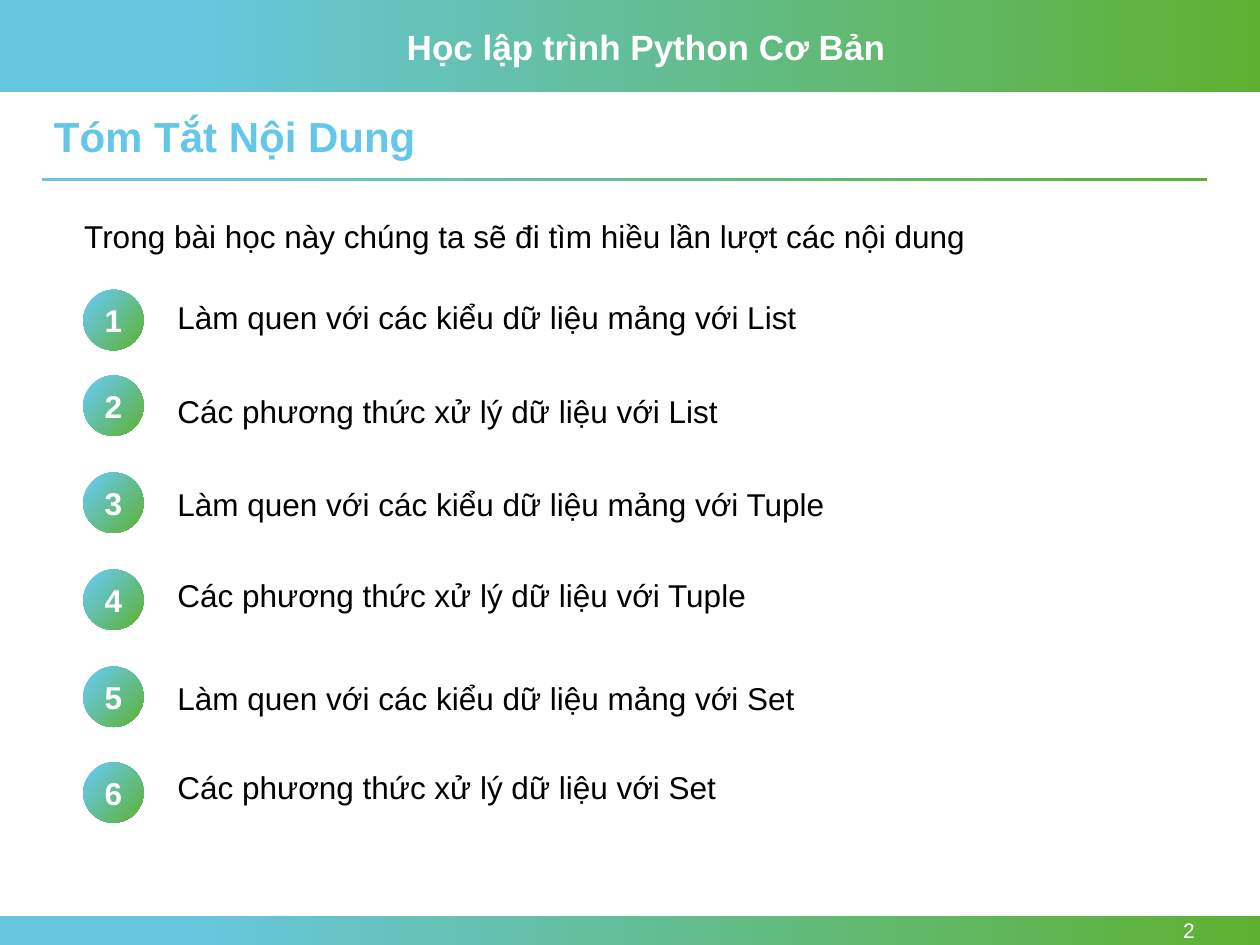
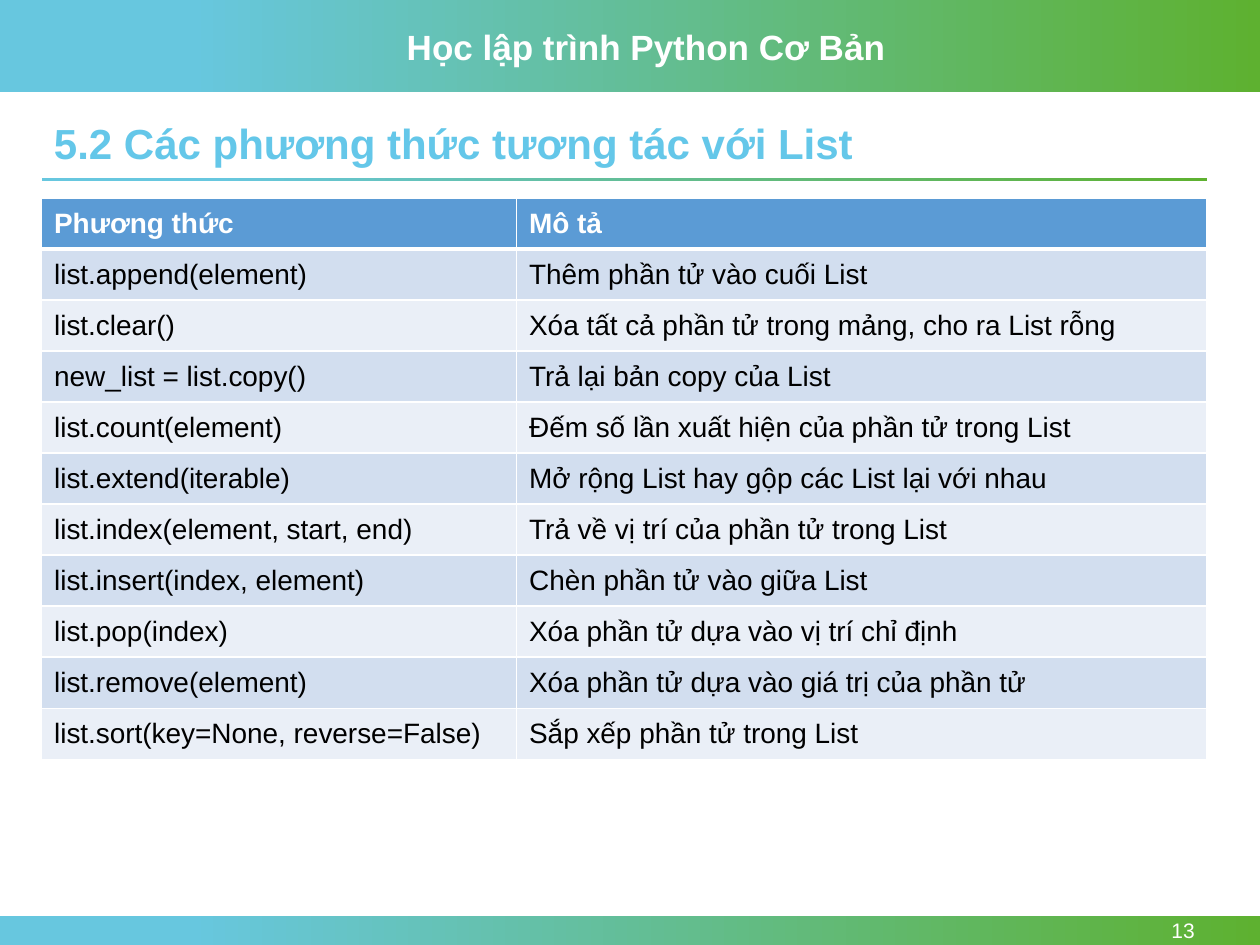
from dataclasses import dataclass

from lxml import etree
from pptx import Presentation
from pptx import util as u
from pptx.dml.color import RGBColor
from pptx.enum import shapes, text
from pptx.oxml import ns

COURSE = "Học lập trình Python Cơ Bản"

AGENDA = {
    "title": "Tóm Tắt Nội Dung",
    "top": 0.87,
    "page": "2",
    "intro": "Trong bài học này chúng ta sẽ đi tìm hiều lần lượt các nội dung",
    # topic, disc top, text top, text width
    "topics": [
        ("Làm quen với các kiểu dữ liệu mảng với List", 2.3, 2.32, 7.09),
        ("Các phương thức xử lý dữ liệu với List", 2.98, 3.06, 5.66),
        ("Làm quen với các kiểu dữ liệu mảng với Tuple", 3.75, 3.8, 5.66),
        ("Các phương thức xử lý dữ liệu với Tuple", 4.52, 4.52, 7.35),
        ("Làm quen với các kiểu dữ liệu mảng với Set", 5.29, 5.34, 5.66),
        ("Các phương thức xử lý dữ liệu với Set", 6.05, 6.05, 7.35),
    ],
}

METHODS = {
    "title": "5.2 Các phương thức tương tác với List",
    "top": 0.93,
    "page": "13",
    "rows": [
        ("Phương thức", "Mô tả"),
        ("list.append(element)", "Thêm phần tử vào cuối List"),
        ("list.clear()", "Xóa tất cả phần tử trong mảng, cho ra List rỗng"),
        ("new_list = list.copy()", "Trả lại bản copy của List"),
        ("list.count(element)", "Đếm số lần xuất hiện của phần tử trong List"),
        ("list.extend(iterable)", "Mở rộng List hay gộp các List lại với nhau"),
        ("list.index(element, start, end)", "Trả về vị trí của phần tử trong List"),
        ("list.insert(index, element)", "Chèn phần tử vào giữa List"),
        ("list.pop(index)", "Xóa phần tử dựa vào vị trí chỉ định"),
        ("list.remove(element)", "Xóa phần tử dựa vào giá trị của phần tử"),
        ("list.sort(key=None, reverse=False)", "Sắp xếp phần tử trong List"),
    ],
}


@dataclass(frozen=True)
class Theme:
    font: str = "Arial"
    white: str = "FFFFFF"
    black: str = "000000"
    title: str = "64C7E9"
    blend: tuple = ((0.15, "67C7DF"), (1.0, "5EB130"))
    head: str = "5B9BD5"
    bands: tuple = ("D2DEEF", "EAEFF7")
    tilt: int = 320  # counter-clockwise degrees: top left to bottom right
    big: int = 24
    name: int = 20
    body: int = 18
    cell: int = 16
    page: int = 12


T = Theme()
LEFT, WIDE = 0.33, 9.25
DISC = 0.48
COLS = (3.77, 5.48)
STYLES = {
    "course": dict(size=T.name, color=T.white, bold=True),
    "title": dict(size=T.big, color=T.title, bold=True),
    "body": dict(size=T.body, color=T.black),
    "disc": dict(size=T.body, color=T.white, bold=True),
    "page": dict(size=T.page, color=T.white),
    "head": dict(size=T.cell, color=T.white, bold=True),
    "cell": dict(size=T.cell, color=T.black),
}
PLAIN = dict(word_wrap=True, auto_size=text.MSO_AUTO_SIZE.SHAPE_TO_FIT_TEXT)
MIDDLE = dict(word_wrap=True, vertical_anchor=text.MSO_ANCHOR.MIDDLE)
TIGHT = dict(MIDDLE, margin_left=0, margin_right=0, margin_top=0, margin_bottom=0)


def assign(part, values):
    for key, value in values.items():
        setattr(part, key, value)


def write(frame, words, style, **para):
    """Fill a text frame with one styled paragraph."""
    line = frame.paragraphs[0]
    assign(line, para)
    run = line.add_run()
    run.text = words
    look = STYLES[style]
    assign(run.font, dict(name=T.font, size=u.Pt(look["size"]),
                          bold=look.get("bold", False)))
    run.font.color.rgb = RGBColor.from_string(look["color"])


def label(slide, box, words, style, frame=PLAIN, **para):
    shape = slide.shapes.add_textbox(*map(u.Inches, box))
    assign(shape.text_frame, frame)
    write(shape.text_frame, words, style, **para)


def blend(slide, kind, box, angle=0):
    """Add a borderless shape with the blue to green gradient."""
    shape = slide.shapes.add_shape(kind, *map(u.Inches, box))
    shape.shadow.inherit = False
    shape.line.fill.background()
    shape.fill.gradient()
    shape.fill.gradient_angle = angle
    for stop, (place, color) in zip(shape.fill.gradient_stops, T.blend):
        stop.position = place
        stop.color.rgb = RGBColor.from_string(color)
    return shape


def start(deck, page):
    """Add a slide with the bands, course name, title and page number."""
    slide = deck.slides.add_slide(deck.slide_layouts[6])
    for box in ((0, 0, 10, 0.73), (0, 7.27, 10, 0.23), (LEFT, 1.41, WIDE, 0.03)):
        blend(slide, shapes.MSO_SHAPE.RECTANGLE, box)
    label(slide, (3.13, 0.15, 4, 0.44), COURSE, "course")
    label(slide, (8.66, 7.27, 0.92, 0.23), page["page"], "page", MIDDLE,
          alignment=text.PP_ALIGN.RIGHT)
    label(slide, (LEFT, page["top"], WIDE, 0.46), page["title"], "title",
          line_spacing=0.9, space_before=u.Pt(10))
    return slide


def agenda(deck):
    slide = start(deck, AGENDA)
    label(slide, (0.57, 1.67, 9.01, 0.4), AGENDA["intro"], "body")
    for num, (topic, top, line, width) in enumerate(AGENDA["topics"], 1):
        disc = blend(slide, shapes.MSO_SHAPE.OVAL, (0.66, top, DISC, DISC), T.tilt)
        assign(disc.text_frame, TIGHT)
        write(disc.text_frame, str(num), "disc", alignment=text.PP_ALIGN.CENTER)
        label(slide, (1.31, line, width, 0.4), topic, "body")


def border(cell, row):
    """Draw white cell edges, with a thick rule below the header."""
    props = cell._tc.get_or_add_tcPr()
    thick = {"T": row == 1, "B": row == 0}
    for side in "LRTB":
        width = u.Pt(3 if thick.get(side) else 1)
        edge = etree.SubElement(props, ns.qn("a:ln" + side), w=str(width))
        fill = etree.SubElement(edge, ns.qn("a:solidFill"))
        etree.SubElement(fill, ns.qn("a:srgbClr"), val=T.white)


def methods(deck):
    slide = start(deck, METHODS)
    rows = METHODS["rows"]
    box = map(u.Inches, (LEFT, 1.57, WIDE, 4.46))
    table = slide.shapes.add_table(len(rows), len(COLS), *box).table
    for col, width in zip(table.columns, COLS):
        col.width = u.Inches(width)
    for r, row in enumerate(rows):
        color = T.bands[(r - 1) % 2] if r else T.head
        for c, words in enumerate(row):
            cell = table.cell(r, c)
            cell.vertical_anchor = text.MSO_ANCHOR.MIDDLE
            border(cell, r)
            cell.fill.solid()
            cell.fill.fore_color.rgb = RGBColor.from_string(color)
            write(cell.text_frame, words, "cell" if r else "head")


def main():
    deck = Presentation()
    assign(deck, dict(slide_width=u.Inches(10), slide_height=u.Inches(7.5)))
    agenda(deck)
    methods(deck)
    deck.save("out.pptx")


if __name__ == "__main__":
    main()
